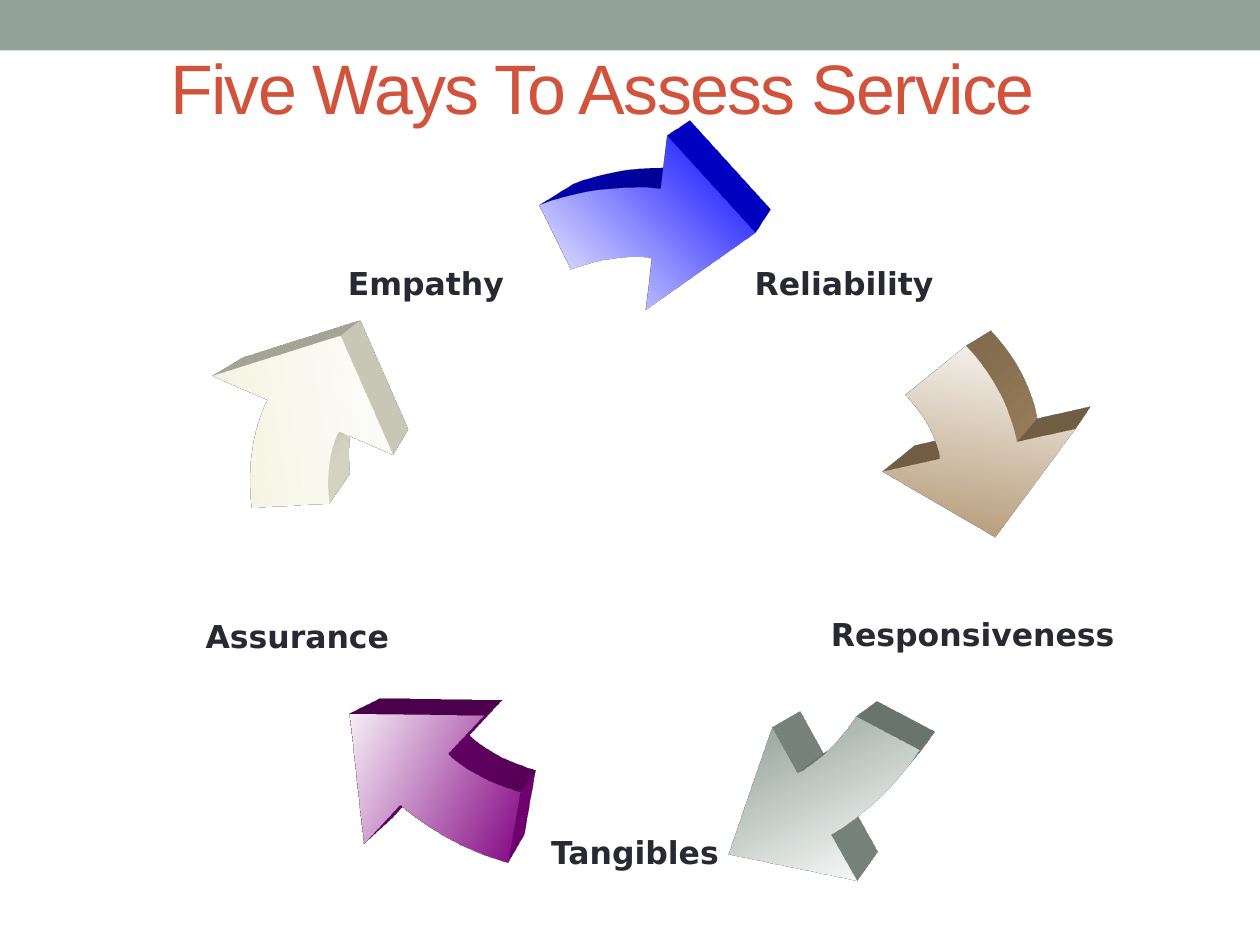
from dataclasses import dataclass

from lxml.etree import SubElement
from pptx import Presentation
from pptx.dml.color import RGBColor
from pptx.enum.shapes import MSO_SHAPE
from pptx.enum.text import MSO_ANCHOR, PP_ALIGN
from pptx.oxml import parse_xml
from pptx.oxml.ns import nsdecls, qn
from pptx.util import Inches, Pt

SAGE = RGBColor(0x93, 0xA2, 0x99)
RED = RGBColor(0xD2, 0x53, 0x3C)
INK = RGBColor(0x29, 0x29, 0x34)
BLUE = RGBColor(0x00, 0x00, 0xFF)
TAN = RGBColor(0xAD, 0x8F, 0x67)
PLUM = RGBColor(0x80, 0x00, 0x80)
CREAM = RGBColor(0xF3, 0xF2, 0xDC)
WHITE = RGBColor(0xFF, 0xFF, 0xFF)

Point = tuple[float, float]

WIDE, HIGH = 3.76, 3.33  # frame of an upright arrow
DEPTH = 887400           # extrusion in EMU


@dataclass
class Arrow:
    left: float
    top: float
    turn: int
    color: RGBColor


@dataclass
class Label:
    text: str
    left: float
    top: float


ARROWS = [
    Arrow(3.16, 1.49, 0, BLUE),
    Arrow(4.57, 2.04, 72, TAN),
    Arrow(3.9, 3.5, 144, SAGE),
    Arrow(2.43, 3.5, 216, PLUM),
    Arrow(2.18, 2.04, 288, CREAM),
]

LABELS = [
    Label("Reliability", 6.01, 1.63),
    Label("Responsiveness", 7.03, 4.42),
    Label("Empathy", 2.69, 1.63),
    Label("Assurance", 1.67, 4.43),
    Label("Tangibles", 4.35, 6.15),
]

# Arrow outline from the frame's top left; a step of one point is a line,
# a step of three points is a cubic curve
START = (2.01, 0.56)
STEPS = [
    [(1.97, 0.55), (1.93, 0.55), (1.88, 0.55)],
    [(1.71, 0.55), (1.53, 0.59), (1.37, 0.65)],
    [(1.12, 0.14)],
    [(1.36, 0.05), (1.62, 0), (1.88, 0)],
    [(1.95, 0), (2.01, 0), (2.08, 0.01)],
    [(2.13, -0.41)],
    [(2.83, 0.36)],
    [(1.96, 0.97)],
    [START],
]


def add_step(track, tag: str, points: list[Point],
             wide: float, high: float) -> None:
    step = SubElement(track, qn(tag))
    for x, y in points:
        SubElement(step, qn("a:pt"), x=str(Inches(x * wide / WIDE)),
                   y=str(Inches(y * high / HIGH)))


def extrude(shape, color: RGBColor) -> None:
    """Give the shape depth, seen from the top right."""
    props = shape._element.spPr
    props.append(parse_xml(
        f'<a:scene3d {nsdecls("a")}>'
        '<a:camera prst="legacyPerspectiveTopRight">'
        '<a:rot lat="0" lon="0" rev="0"/></a:camera>'
        '<a:lightRig rig="legacyFlat3" dir="b"/></a:scene3d>'))
    props.append(parse_xml(
        f'<a:sp3d {nsdecls("a")} extrusionH="{DEPTH}" '
        'prstMaterial="legacyMatte">'
        '<a:bevelT w="13500" h="13500" prst="angle"/>'
        '<a:bevelB w="13500" h="13500" prst="angle"/>'
        f'<a:extrusionClr><a:srgbClr val="{color}"/></a:extrusionClr>'
        '</a:sp3d>'))


def draw_arrow(slide, arrow: Arrow) -> None:
    # Arrows turned sideways have their frame sides swapped
    sideways = arrow.turn in (72, 288)
    wide, high = (HIGH, WIDE) if sideways else (WIDE, HIGH)
    x, y = Inches(arrow.left), Inches(arrow.top)
    right, low = x + Inches(wide), y + Inches(high)
    pen = slide.shapes.build_freeform(x, y)
    pen.add_line_segments([(right, y), (right, low), (x, low)])
    shape = pen.convert_to_shape()

    # Arrow outline with true curves inside the frame
    track = next(shape._element.iter(qn("a:path")))
    for part in list(track):
        track.remove(part)
    add_step(track, "a:moveTo", [START], wide, high)
    for step in STEPS:
        tag = "a:lnTo" if len(step) == 1 else "a:cubicBezTo"
        add_step(track, tag, step, wide, high)
    SubElement(track, qn("a:close"))

    shape.rotation = arrow.turn
    shape.shadow.inherit = False
    shape.line.fill.background()
    shape.fill.gradient()
    shape.fill.gradient_angle = 45
    for stop, color in zip(shape.fill.gradient_stops, (WHITE, arrow.color)):
        stop.color.rgb = color
    extrude(shape, arrow.color)


def draw_label(slide, label: Label) -> None:
    box = slide.shapes.add_shape(MSO_SHAPE.RECTANGLE, Inches(label.left),
                                 Inches(label.top), Inches(1.38), Inches(1.23))
    box.shadow.inherit = False
    box.fill.background()
    box.line.fill.background()
    frame = box.text_frame
    frame.word_wrap = False
    frame.vertical_anchor = MSO_ANCHOR.MIDDLE
    frame.margin_left = frame.margin_right = 0
    frame.margin_top = frame.margin_bottom = 0
    para = frame.paragraphs[0]
    para.alignment = PP_ALIGN.CENTER
    run = para.add_run()
    run.text = label.text
    run.font.name = "DejaVu Sans"
    run.font.size = Pt(18)
    run.font.bold = True
    run.font.color.rgb = INK


def draw_title(slide, text: str) -> None:
    title = slide.shapes.title
    title.left, title.top = Inches(1.25), Inches(0.3)
    title.width, title.height = Inches(8.25), Inches(1.25)
    frame = title.text_frame
    frame.vertical_anchor = MSO_ANCHOR.TOP
    frame.margin_top = Inches(0.05)
    para = frame.paragraphs[0]
    para.alignment = PP_ALIGN.LEFT
    run = para.add_run()
    run.text = text
    run.font.name = "Arial"
    run.font.size = Pt(40)
    run.font.color.rgb = RED
    run.font._element.set("spc", "-100")


def main() -> None:
    deck = Presentation()
    deck.slide_width, deck.slide_height = Inches(10), Inches(7.5)
    slide = deck.slides.add_slide(deck.slide_layouts[5])

    # Top band and title
    band = slide.shapes.add_shape(MSO_SHAPE.RECTANGLE, 0, 0,
                                  Inches(10), Inches(0.4))
    band.shadow.inherit = False
    band.fill.solid()
    band.fill.fore_color.rgb = SAGE
    band.line.fill.background()
    draw_title(slide, "Five Ways To Assess Service")

    # Cycle of arrows and labels
    for arrow in ARROWS:
        draw_arrow(slide, arrow)
    for label in LABELS:
        draw_label(slide, label)
    deck.save("out.pptx")


if __name__ == "__main__":
    main()
